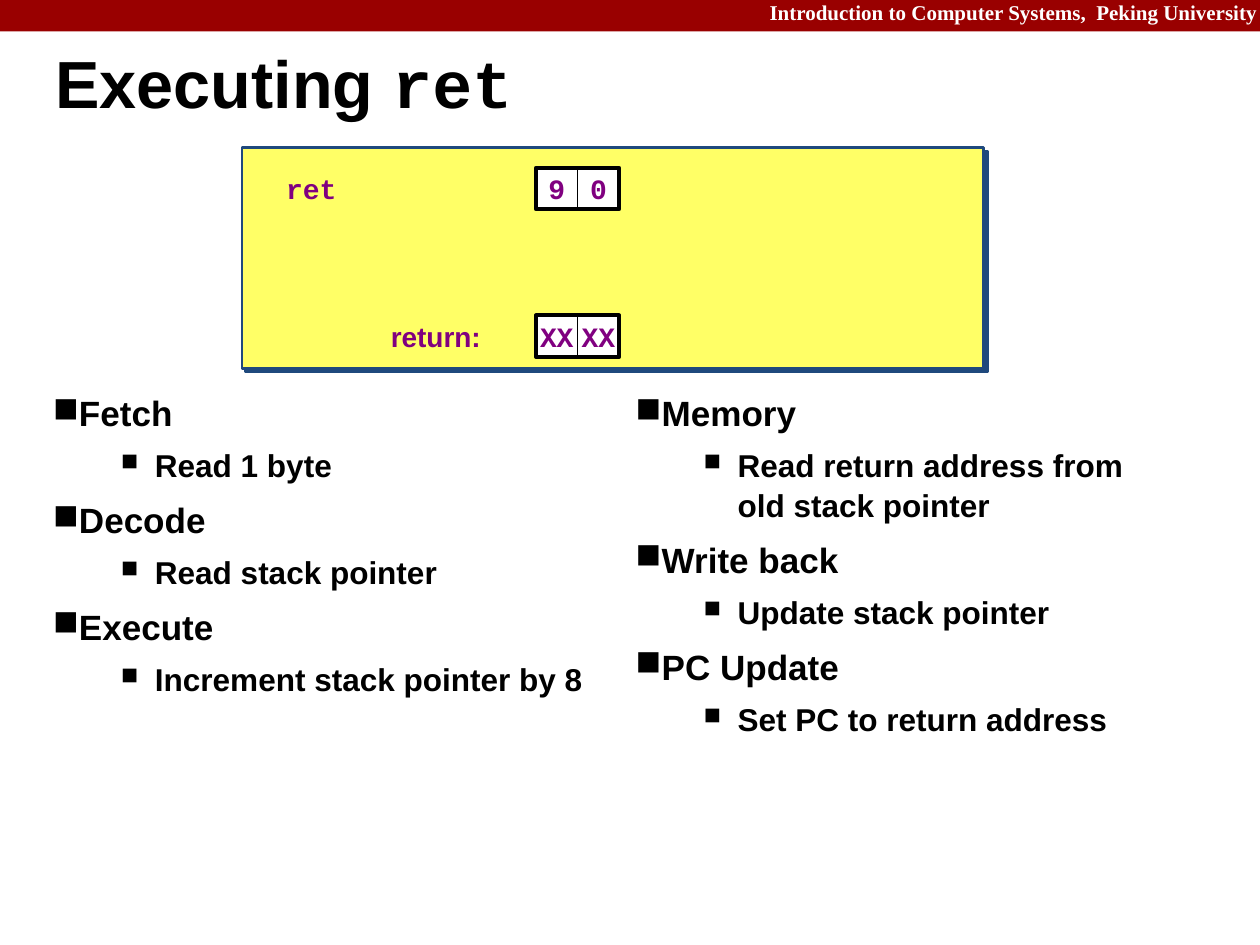
from lxml import etree
from pptx import Presentation
from pptx.dml.color import RGBColor
from pptx.enum.shapes import MSO_SHAPE
from pptx.enum.text import MSO_ANCHOR, PP_ALIGN
from pptx.oxml.ns import qn
from pptx.util import Inches, Pt

RECTANGLE = MSO_SHAPE.RECTANGLE
TOP = MSO_ANCHOR.TOP
MIDDLE = MSO_ANCHOR.MIDDLE
LEFT = PP_ALIGN.LEFT
CENTER = PP_ALIGN.CENTER
RIGHT = PP_ALIGN.RIGHT

RED = RGBColor(0x99, 0x00, 0x00)
WHITE = RGBColor(0xFF, 0xFF, 0xFF)
BLACK = RGBColor(0x00, 0x00, 0x00)
YELLOW = RGBColor(0xFF, 0xFF, 0x66)
BLUE = RGBColor(0x1F, 0x49, 0x7D)
PURPLE = RGBColor(0x80, 0x00, 0x80)

SLIDE_WIDTH = 9.99
SLIDE_HEIGHT = 7.49
BYTE_SIZE = 0.33
BYTES_LEFT = 4.25
DEFAULT_INSETS = (0.1, 0.05, 0.1, 0.05)

STEP_FORMAT = {"line_spacing": 0.95, "space_before": Pt(10)}
DETAIL_FORMAT = {"line_spacing": 1.05, "space_before": Pt(5.5), "level": 1}

LEFT_STAGES = [
    ("Fetch", "Read 1 byte"),
    ("Decode", "Read stack pointer"),
    ("Execute", "Increment stack pointer by 8"),
]
RIGHT_STAGES = [
    ("Memory", "Read return address from old stack pointer"),
    ("Write back", "Update stack pointer"),
    ("PC Update", "Set PC to return address"),
]


def set_attributes(target, values):
    for name, value in values.items():
        setattr(target, name, value)


def set_font(font, size, color=BLACK, name="Arial"):
    set_attributes(font, {"name": name, "size": Pt(size), "bold": True})
    font.color.rgb = color


def prepare_frame(shape, insets, anchor, wrap=True):
    frame = shape.text_frame
    sides = ("margin_left", "margin_top", "margin_right", "margin_bottom")
    set_attributes(frame, dict(zip(sides, map(Inches, insets))))
    set_attributes(frame, {"word_wrap": wrap, "vertical_anchor": anchor})
    return frame


def add_text(slide, box, runs, size, color=BLACK, alignment=LEFT,
             anchor=MIDDLE, insets=DEFAULT_INSETS, line_spacing=1.0):
    shape = slide.shapes.add_textbox(*map(Inches, box))
    paragraph = prepare_frame(shape, insets, anchor).paragraphs[0]
    set_attributes(paragraph, {"alignment": alignment, "line_spacing": line_spacing})
    for text, font_name in runs:
        run = paragraph.add_run()
        run.text = text
        set_font(run.font, size, color, font_name)


def add_rectangle(shapes, box, fill=None, line=None, width=0):
    shape = shapes.add_shape(RECTANGLE, *map(Inches, box))
    shape.shadow.inherit = False
    if fill is None:
        shape.fill.background()
    else:
        shape.fill.solid()
        shape.fill.fore_color.rgb = fill
    if line is None:
        shape.line.fill.background()
    else:
        shape.line.color.rgb = line
        shape.line.width = Pt(width)
    return shape


def add_hard_shadow(shape, color, distance, degrees):
    effects = shape._element.spPr.find(qn("a:effectLst"))
    shadow = etree.SubElement(effects, qn("a:outerShdw"), {
        "blurRad": "0", "dist": str(Pt(distance)),
        "dir": str(degrees * 60000), "algn": "ctr", "rotWithShape": "0",
    })
    etree.SubElement(shadow, qn("a:srgbClr"), val=str(color))


def add_byte_pair(slide, top, values):
    group = slide.shapes.add_group_shape()
    for index, value in enumerate(values):
        box = (BYTES_LEFT + index * BYTE_SIZE, top, BYTE_SIZE, BYTE_SIZE)
        cell = add_rectangle(group.shapes, box, WHITE, BLACK, 0.5)
        paragraph = prepare_frame(cell, (0, 0, 0, 0), MIDDLE, False).paragraphs[0]
        paragraph.text = value
        paragraph.alignment = CENTER
        set_font(paragraph.font, 16, PURPLE, "Courier New")
    frame_box = (BYTES_LEFT, top, len(values) * BYTE_SIZE, BYTE_SIZE)
    add_rectangle(group.shapes, frame_box, line=BLACK, width=2.25)


def add_bullet(paragraph, margin, indent, percent):
    properties = paragraph._p.get_or_add_pPr()
    properties.set("marL", str(Inches(margin)))
    properties.set("indent", str(Inches(indent)))
    etree.SubElement(properties, qn("a:buSzPct"), val=str(percent * 1000))
    etree.SubElement(properties, qn("a:buChar"), char="■")


def add_stages(slide, left, stages):
    shape = slide.shapes.add_textbox(*map(Inches, (left, 3.08, 4.45, 3.95)))
    frame = prepare_frame(shape, DEFAULT_INSETS, TOP)
    for index, (step, detail) in enumerate(stages):
        heading = frame.add_paragraph() if index else frame.paragraphs[0]
        heading.text = step
        set_attributes(heading, STEP_FORMAT)
        if index == 0:
            heading.space_before = Pt(0)
        add_bullet(heading, 0, 0, 100)
        set_font(heading.font, 20)

        item = frame.add_paragraph()
        item.text = detail
        set_attributes(item, DETAIL_FORMAT)
        add_bullet(item, 0.81, -0.27, 75)
        set_font(item.font, 18)


def main():
    presentation = Presentation()
    presentation.slide_width = Inches(SLIDE_WIDTH)
    presentation.slide_height = Inches(SLIDE_HEIGHT)
    slide = presentation.slides.add_slide(presentation.slide_layouts[6])

    add_rectangle(slide.shapes, (0, 0, SLIDE_WIDTH, 0.25), RED)
    add_text(slide, (5.5, 0, SLIDE_WIDTH - 5.5, 0.25),
             [("Introduction to Computer Systems,  Peking University", "Times New Roman")],
             12, WHITE, RIGHT, TOP, (0, 0.02, 0.02, 0), 0.9)
    add_text(slide, (0.44, 0.27, 9.52, 0.85),
             [("Executing ", "Arial"), ("ret", "Courier New")],
             38, insets=(0, 0, 0, 0), line_spacing=0.87)

    add_stages(slide, 0.32, LEFT_STAGES)
    add_stages(slide, 4.94, RIGHT_STAGES)

    panel = add_rectangle(slide.shapes, (1.92, 1.17, 5.88, 1.75), YELLOW, BLUE, 1.5)
    add_hard_shadow(panel, BLUE, 2.8, 45)
    add_text(slide, (2.17, 1.33, 2.08, 0.33), [("ret", "Courier New")], 16, PURPLE)
    add_byte_pair(slide, 1.33, ("9", "0"))
    add_byte_pair(slide, 2.5, ("XX", "XX"))
    add_text(slide, (3, 2.5, 1.22, 0.33), [("return:", "Arial")], 16, PURPLE)

    presentation.save("out.pptx")


if __name__ == "__main__":
    main()
